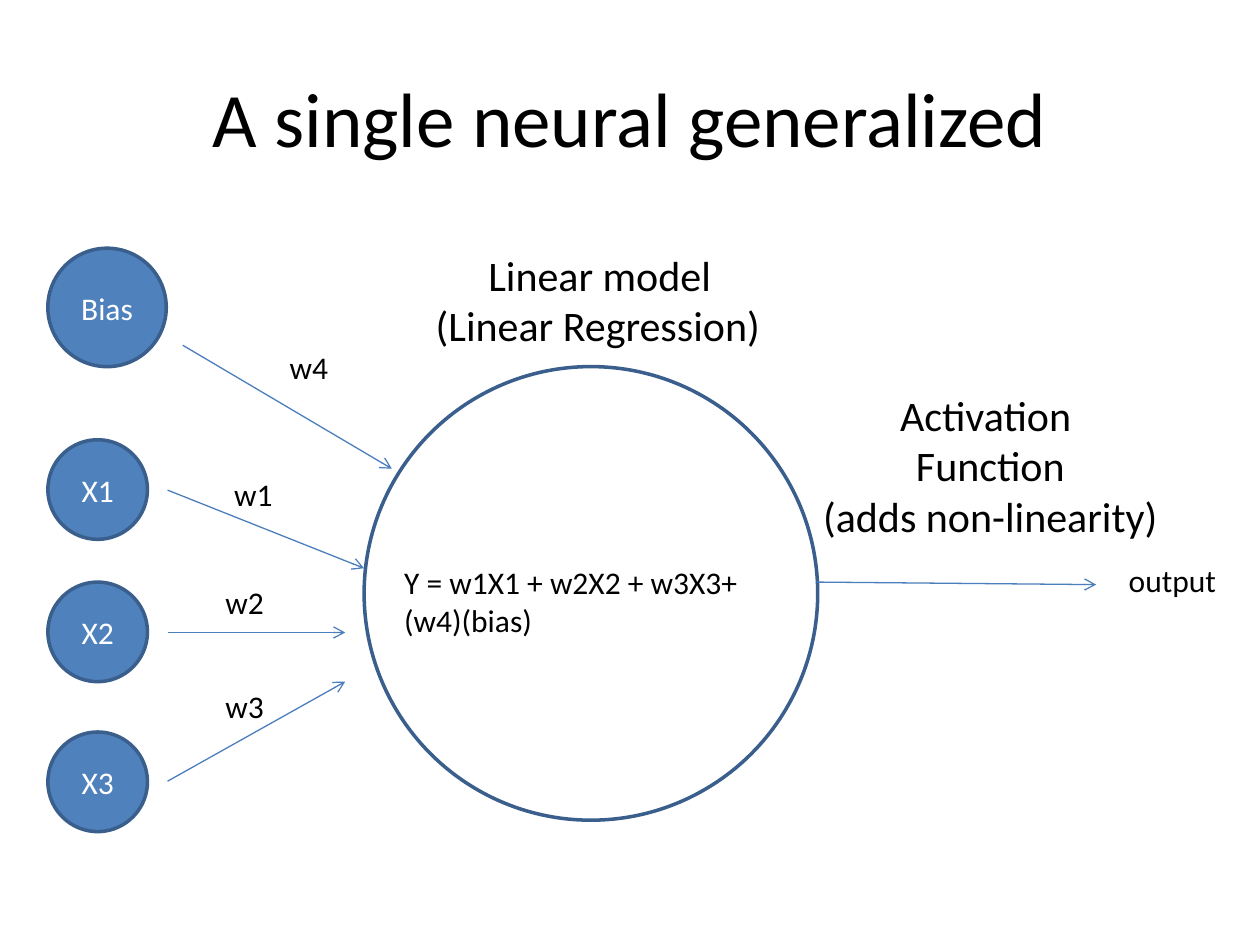
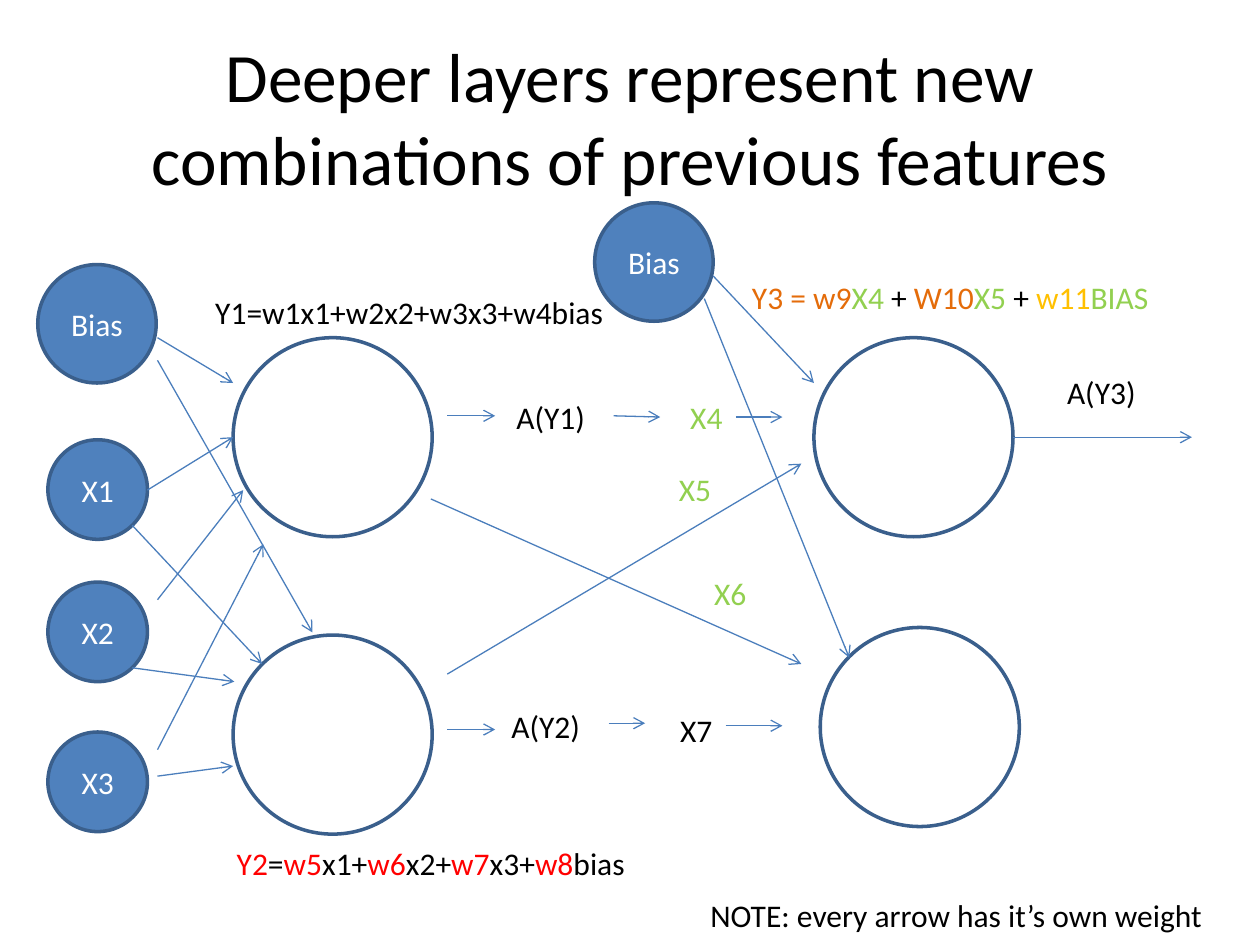
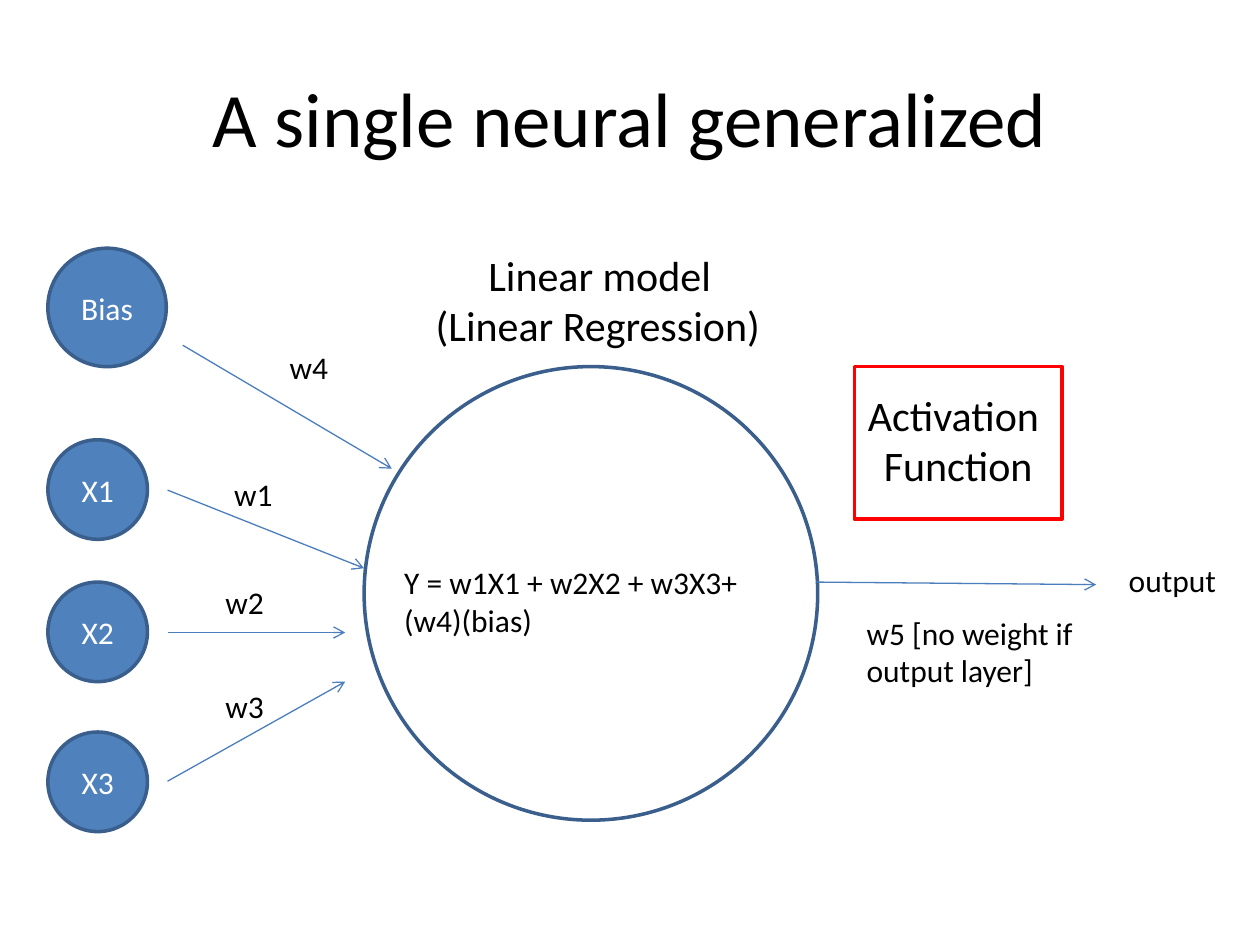
from lxml.etree import SubElement
from pptx import Presentation
from pptx.dml.color import RGBColor
from pptx.enum.shapes import MSO_CONNECTOR, MSO_SHAPE
from pptx.enum.text import MSO_ANCHOR, MSO_AUTO_SIZE, PP_ALIGN
from pptx.oxml.ns import qn
from pptx.util import Inches, Pt

# Shared style
BLUE, EDGE, WIRE = "4F81BD", "3A5F8C", "4B7EBC"
BLACK, WHITE, RED = "000000", "FFFFFF", "FF0000"
GREEN, ORANGE, GOLD = "92D050", "E46C0A", "FFC000"
FONT = "Calibri"
LEFT, MID = PP_ALIGN.LEFT, PP_ALIGN.CENTER
LINE = 0.4      # height of a one-line label
INPUT = 0.79    # diameter of an input node
BIAS = 0.94     # diameter of a bias node
UNIT = 1.58     # diameter of a hidden unit


def tint(color, code):
    color.rgb = RGBColor.from_string(code)


def paint(fill, code):
    if code is None:
        fill.background()
    else:
        fill.solid()
        tint(fill.fore_color, code)


def style(item, values):
    for name, value in values.items():
        setattr(item, name, value)


def write(frame, paras, size=18, color=BLACK, aligns=(LEFT,)):
    """Each paragraph is a string or a list of (text, colour) runs."""
    for i, runs in enumerate(paras):
        para = frame.paragraphs[0] if i == 0 else frame.add_paragraph()
        para.alignment = aligns[min(i, len(aligns) - 1)]
        if isinstance(runs, str):
            runs = [(runs, color)]
        for text, code in runs:
            run = para.add_run()
            run.text = text
            style(run.font, {"name": FONT, "size": Pt(size)})
            tint(run.font.color, code)


# Kinds of element
def label(slide, x, y, w, paras, h=LINE, wrap=False, **look):
    box = slide.shapes.add_textbox(Inches(x), Inches(y), Inches(w), Inches(h))
    style(box.text_frame, {"word_wrap": wrap,
                           "auto_size": MSO_AUTO_SIZE.SHAPE_TO_FIT_TEXT})
    write(box.text_frame, paras, **look)


def title(slide, text, size=44):
    box = slide.shapes.add_textbox(Inches(0.5), Inches(0.3), Inches(9), Inches(1.25))
    style(box.text_frame, {"word_wrap": True, "vertical_anchor": MSO_ANCHOR.MIDDLE})
    write(box.text_frame, [text], size, aligns=(MID,))


def shape(slide, kind, x, y, w, h, fill=None, edge=EDGE):
    item = slide.shapes.add_shape(kind, Inches(x), Inches(y), Inches(w), Inches(h))
    item.shadow.inherit = False
    paint(item.fill, fill)
    paint(item.line.fill, edge)
    item.line.width = Pt(2)
    return item


def ring(slide, x, y, size, fill=None):
    return shape(slide, MSO_SHAPE.OVAL, x, y, size, size, fill)


def node(slide, x, y, size, text):
    frame = ring(slide, x, y, size, BLUE).text_frame
    style(frame, {"vertical_anchor": MSO_ANCHOR.MIDDLE, "word_wrap": True})
    write(frame, [text], color=WHITE, aligns=(MID,))


def arrow(slide, x1, y1, x2, y2):
    wire = slide.shapes.add_connector(
        MSO_CONNECTOR.STRAIGHT, Inches(x1), Inches(y1), Inches(x2), Inches(y2))
    paint(wire.line.fill, WIRE)
    wire.line.width = Pt(0.75)
    SubElement(wire.line._get_or_add_ln(), qn("a:tailEnd"), type="arrow")
    SubElement(wire._element.spPr, qn("a:effectLst"))


def inputs(slide):
    for text, y in (("X1", 3.49), ("X2", 4.62), ("X3", 5.81)):
        node(slide, 0.38, y, INPUT, text)


# Slides
def neuron(slide):
    """What both single-neuron slides show."""
    title(slide, "A single neural generalized")
    inputs(slide)
    node(slide, 0.38, 1.97, BIAS, "Bias")
    ring(slide, 2.89, 2.91, 3.6)
    for ends in ((1.33, 3.89, 2.89, 4.51), (1.33, 5.02, 2.74, 5.02),
                 (1.33, 6.2, 2.74, 5.41), (1.45, 2.74, 3.11, 3.72),
                 (6.48, 4.62, 8.7, 4.64)):
        arrow(slide, *ends)
    for text, x, y in (("w1", 1.76, 3.72), ("w2", 1.69, 4.58),
                       ("w3", 1.69, 5.4), ("w4", 2.2, 2.71)):
        label(slide, x, y, 0.51, [text])
    label(slide, 3.11, 4.42, 3.3, ["Y = w1X1 + w2X2 + w3X3+ (w4)(bias)"],
          h=0.71, wrap=True)
    label(slide, 3.36, 1.93, 2.8, ["Linear model", "(Linear Regression)"],
          h=0.91, size=24, aligns=(MID, LEFT))
    label(slide, 8.86, 4.4, 0.9, ["output"])


def linear(slide):
    neuron(slide)
    label(slide, 6.42, 3.04, 2.88,
          ["Activation ", "Function", "(adds non-linearity)"],
          h=1.31, size=24, aligns=(MID,))


def layers(slide):
    title(slide, "Deeper layers represent new combinations of previous features", 39.6)
    inputs(slide)
    for x, y in ((0.3, 2.1), (4.72, 1.61)):
        node(slide, x, y, BIAS, "Bias")
    for x, y in ((1.85, 2.68), (1.85, 5.04), (6.46, 2.68), (6.51, 4.98)):
        ring(slide, x, y, UNIT, WHITE)

    wires = (
        # inputs to the upper unit
        (1.25, 2.68, 1.85, 3.04), (1.17, 3.89, 1.85, 3.47),
        (1.25, 4.76, 1.93, 3.89), (1.25, 5.95, 2.09, 4.32),
        # inputs to the lower unit
        (1.25, 2.86, 2.48, 5.02), (1.05, 4.17, 2.08, 5.27),
        (1.05, 5.3, 1.86, 5.41), (1.25, 6.16, 1.85, 6.08),
        # crossing between the layers
        (3.55, 5.35, 6.36, 3.68), (3.42, 3.96, 6.36, 5.27),
        # upper and lower chains
        (3.55, 3.3, 3.93, 3.3), (4.87, 3.3, 5.24, 3.31), (5.84, 3.31, 6.21, 3.31),
        (3.55, 5.79, 3.93, 5.79), (4.83, 5.74, 5.12, 5.74), (5.76, 5.76, 6.21, 5.76),
        # second bias and result
        (5.66, 2.19, 6.46, 3.04), (5.59, 2.37, 6.74, 5.22), (8.04, 3.47, 9.46, 3.47),
    )
    for ends in wires:
        arrow(slide, *ends)

    for text, x, y in (("A(Y1)", 4, 3.11), ("A(Y2)", 3.96, 5.56), ("A(Y3)", 8.37, 2.91)):
        label(slide, x, y, 0.75, [text])
    for text, x, y, code in (("X4", 5.38, 3.11, GREEN), ("X5", 5.29, 3.68, GREEN),
                             ("X6", 5.57, 4.51, GREEN), ("X7", 5.3, 5.59, BLACK)):
        label(slide, x, y, 0.46, [text], color=code)

    # Formulas and note
    label(slide, 1.61, 2.28, 3.31, ["Y1=w1x1+w2x2+w3x3+w4bias"])
    parts = ("Y2", "=", "w5", "x1+", "w6", "x2+", "w7", "x3+", "w8", "bias")
    label(slide, 1.78, 6.65, 3.31,
          [[(text, (RED, BLACK)[i % 2]) for i, text in enumerate(parts)]])
    label(slide, 5.87, 2.16, 3.43,
          [[("Y3 = w9", ORANGE), ("X4", GREEN), (" + ", BLACK), ("W10", ORANGE),
            ("X5 ", GREEN), ("+ ", BLACK), ("w11", GOLD), ("BIAS", GREEN)]], wrap=True)
    label(slide, 5.54, 7.06, 4.17, ["NOTE: every arrow has it’s own weight"], wrap=True)


def active(slide):
    neuron(slide)
    label(slide, 6.78, 3.04, 1.65, ["Activation ", "Function"],
          h=0.91, size=24, aligns=(MID,))
    label(slide, 6.78, 4.82, 2.16, ["w5 [no weight if output layer]"],
          h=0.71, wrap=True)
    shape(slide, MSO_SHAPE.RECTANGLE, 6.78, 2.91, 1.65, 1.21, edge=RED)


def main():
    deck = Presentation()
    style(deck, {"slide_width": Inches(10), "slide_height": Inches(7.5)})
    for build in (linear, layers, active):
        build(deck.slides.add_slide(deck.slide_layouts[6]))
    deck.save("out.pptx")


if __name__ == "__main__":
    main()
